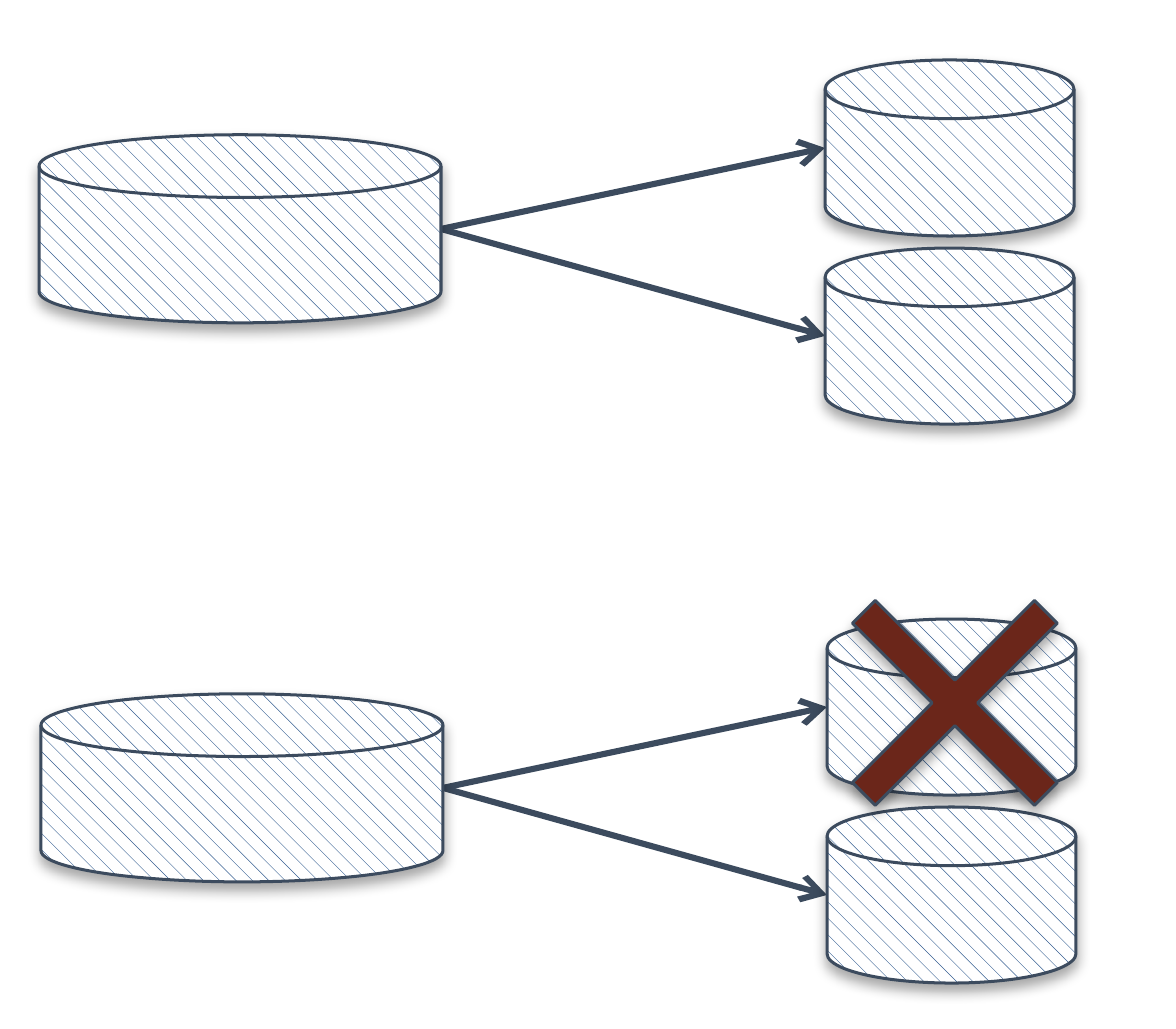
from lxml.etree import SubElement
from pptx import Presentation
from pptx.dml.color import RGBColor
from pptx.enum.dml import MSO_PATTERN
from pptx.enum.shapes import MSO_CONNECTOR, MSO_SHAPE
from pptx.oxml.ns import qn
from pptx.util import Inches, Pt

PIXELS_PER_INCH = 294
OUTLINE = RGBColor(0x3C, 0x4B, 0x5E)
HATCH = RGBColor(0x37, 0x60, 0x92)
WHITE = RGBColor(0xFF, 0xFF, 0xFF)
CROSS_RED = RGBColor(0x6B, 0x26, 0x1A)

SOURCE_TOP, SOURCE_WIDTH, SOURCE_HEIGHT = 75, 402, 188
TARGET_LEFT, TARGET_WIDTH, TARGET_HEIGHT = 786, 249, 176
TARGET_STEP = 188
CROSS_SIZE = 350


def px(*lengths):
    return [Inches(length / PIXELS_PER_INCH) for length in lengths]


def add_shadow(shape):
    shape.shadow.inherit = False
    effects = shape._element.spPr.find(qn("a:effectLst"))
    shadow = SubElement(effects, qn("a:outerShdw"), blurRad="40000",
                        dist="23000", dir="5400000", rotWithShape="0")
    color = SubElement(shadow, qn("a:srgbClr"), val="000000")
    SubElement(color, qn("a:alpha"), val="35000")


def add_outlined_shape(group, kind, left, top, width, height):
    shape = group.shapes.add_shape(kind, *px(left, top, width, height))
    shape.line.color.rgb = OUTLINE
    shape.line.width = Pt(0.75)
    add_shadow(shape)
    return shape


def add_disk(group, left, top, width, height):
    disk = add_outlined_shape(group, MSO_SHAPE.FLOWCHART_MAGNETIC_DISK,
                              left, top, width, height)
    disk.fill.patterned()
    disk.fill.pattern = MSO_PATTERN.WIDE_DOWNWARD_DIAGONAL
    disk.fill.fore_color.rgb = HATCH
    disk.fill.back_color.rgb = WHITE


def add_arrow(group, start_x, start_y, end_x, end_y):
    arrow = group.shapes.add_connector(
        MSO_CONNECTOR.STRAIGHT, *px(start_x, start_y, end_x, end_y))
    arrow.line.color.rgb = OUTLINE
    arrow.line.width = Pt(1.5)
    SubElement(arrow.line._get_or_add_ln(), qn("a:tailEnd"), type="arrow")
    SubElement(arrow._element.spPr, qn("a:effectLst"))


def add_cross(group, left, top):
    cross = add_outlined_shape(group, MSO_SHAPE.MATH_MULTIPLY,
                               left, top, CROSS_SIZE, CROSS_SIZE)
    cross.adjustments[0] = 0.092
    cross.fill.solid()
    cross.fill.fore_color.rgb = CROSS_RED


def add_replication(slide, left, top, first_failed=False):
    group = slide.shapes.add_group_shape()
    target_left = left + TARGET_LEFT
    target_tops = [top, top + TARGET_STEP]
    source_top = top + SOURCE_TOP
    for target_top in target_tops:
        add_arrow(group, left + SOURCE_WIDTH, source_top + SOURCE_HEIGHT // 2,
                  target_left, target_top + TARGET_HEIGHT // 2)
    add_disk(group, left, source_top, SOURCE_WIDTH, SOURCE_HEIGHT)
    for target_top in target_tops:
        add_disk(group, target_left, target_top, TARGET_WIDTH, TARGET_HEIGHT)
    if first_failed:
        add_cross(group, left + 739, top - 91)


def main():
    presentation = Presentation()
    presentation.slide_width = Inches(4)
    presentation.slide_height = Inches(3.5)
    slide = presentation.slides.add_slide(presentation.slide_layouts[6])
    add_replication(slide, 39, 60)
    add_replication(slide, 41, 619, first_failed=True)
    presentation.save("out.pptx")


if __name__ == "__main__":
    main()
